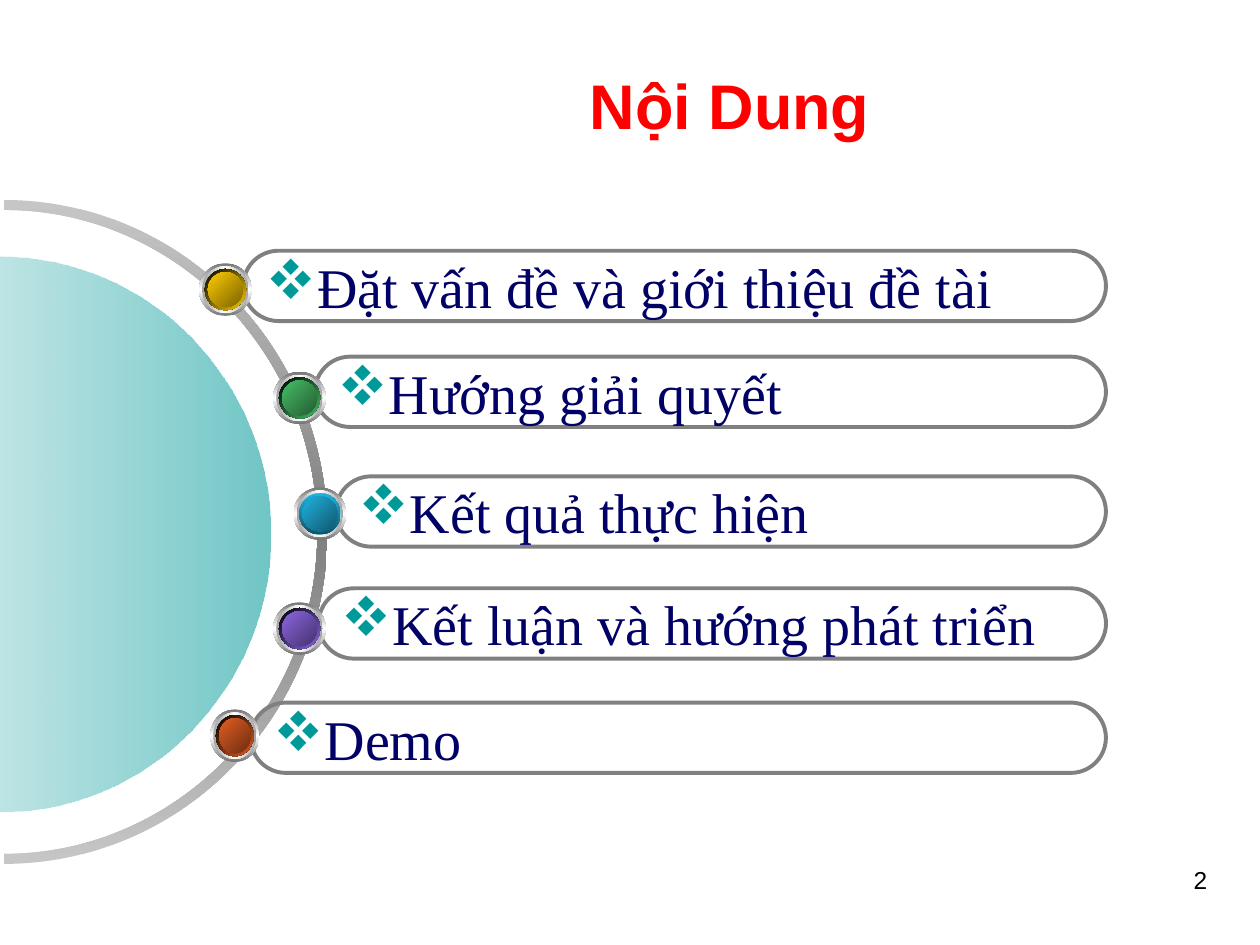
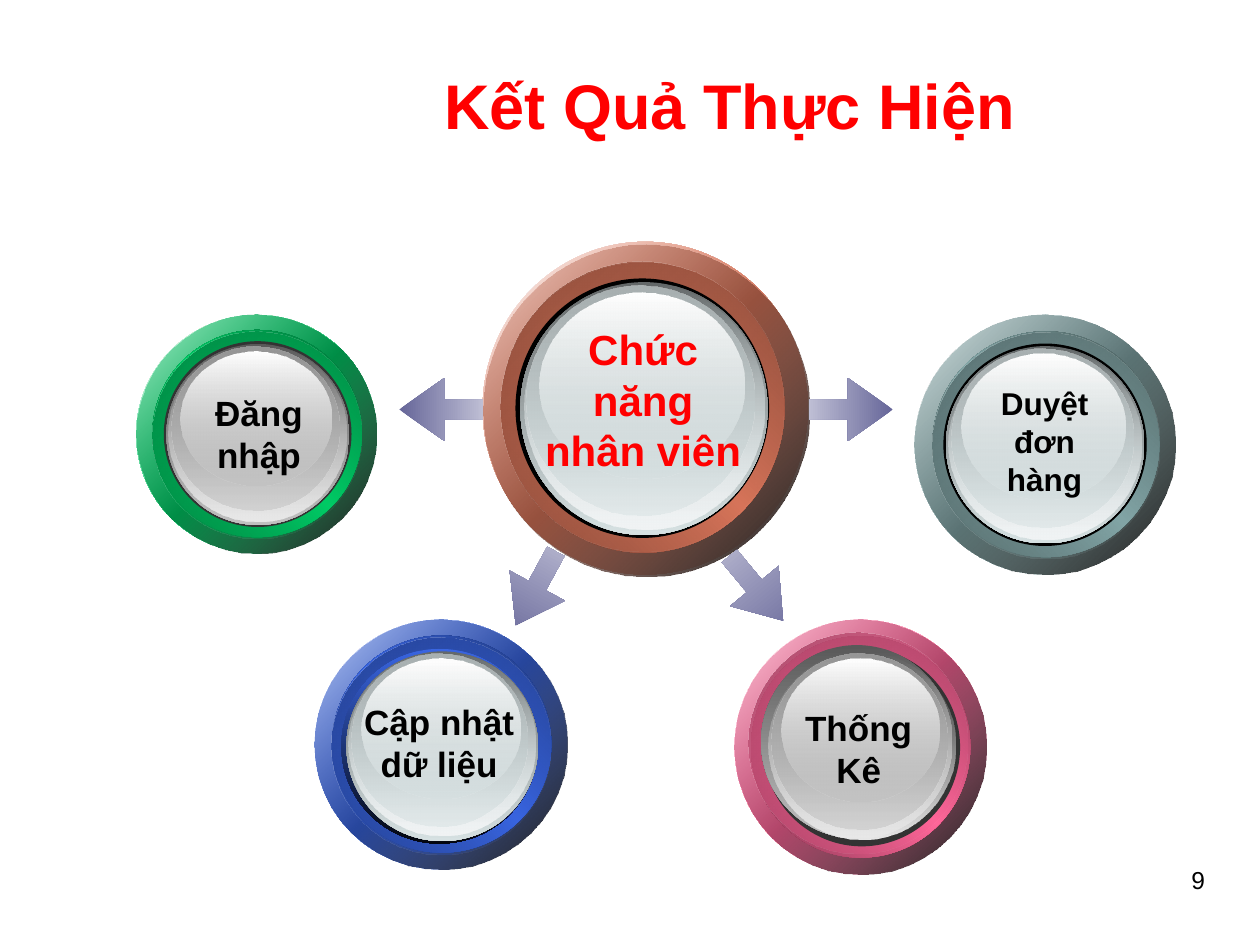
"""Build an agenda slide and a staff function slide."""
from lxml.etree import SubElement
from pptx import Presentation
from pptx.dml.color import RGBColor
from pptx.enum.shapes import MSO_SHAPE
from pptx.enum.text import MSO_ANCHOR, PP_ALIGN
from pptx.oxml.ns import qn
from pptx.util import Pt

RED, BLACK, WHITE, TEAL, NAVY, GRAY = (
    "FF0000", "000000", "FFFFFF", "009999", "000066", "808080")
SANS, SERIF = "Arial", "Times New Roman"
GLASS, STEEL = "D6E1E2", "C0C0C0"
ROUND = 0.5523

TOPICS = [
    ("Đặt vấn đề và giới thiệu đề tài", 139, 143.3, (113.8, 150.5, 30), "FFCC00"),
    ("Hướng giải quyết", 180, 203.8, (156.2, 212.4, 30), "48BE67"),
    ("Kết quả thực hiện", 192, 272.2, (167.8, 278.6, 30), "21B3E1"),
    ("Kết luận và hướng phát triển", 182, 336.2, (156.2, 344.2, 30), "8D67E1"),
    ("Demo", 143.3, 401.5, (120.2, 405.4, 28), "E35E23"),
]
PILL_END = 632

RING_FIT = [
    (0, 0, 1, 1), (0, 0, 1, 1),
    (0.068, 0.063, 0.87, 0.87), (0.068, 0.068, 0.87, 0.87),
    (0.11, 0.11, 0.78, 0.78), (0.12, 0.12, 0.76, 0.76),
    (0.13, 0.126, 0.74, 0.74), (0.14, 0.13, 0.7, 0.69),
    (0.18, 0.15, 0.63, 0.56),
]
HUB_SHIFT = {1: (0.7, 1.4), 2: (-1.8, 0.3), 3: (-2.5, -1.4), 4: (-1.7, 0),
             5: (-0.7, 0.2), 6: (-0.4, 0), 7: (-0.8, 0.5), 8: (-1, 0.3)}
PINK_SHIFT = {2: (-0.4, 0.2), 3: (-1.9, -2.7), 4: (0.7, 0), 5: (-2.2, -3),
              6: (0.7, -0.3), 7: (0.7, 0.5), 8: (0.7, 0.5)}
GREEN_SHIFT = {4: (0.7, 0), 5: (0.8, 0.2), 6: (0.8, 0), 7: (0.9, 0.3),
               8: (0.5, 0.5)}
BLUE_SHIFT = {3: (-0.4, 0.4), 4: (-0.7, 0.9), 5: (0.7, 0.9), 6: (0.7, 0),
              7: (0.7, 0.9), 8: (0.7, 0.9)}

HUB = ((275.8, 138.2, 185.8, 190.1), "D8755A", GLASS, [BLACK], HUB_SHIFT)
RINGS = [
    ((522.7, 180, 149, 148.3), "83A6A7", GLASS, [BLACK], {}),
    ((419.8, 354.2, 144, 145.4), "FF6699", STEEL, ["333333"], PINK_SHIFT),
    ((77.8, 180, 137.5, 136.1), "00CC66", STEEL, ["333333"], GREEN_SHIFT),
    ((180, 354.2, 144, 142.6), "3965E1", GLASS, ["3965E1", "03060D"], BLUE_SHIFT),
]
LABELS = [
    ("Thống Kê", (447.1, 400.3, 87.1, 56.2), 20),
    ("Đăng nhập", (95.8, 220.3, 104.4, 55.4), 20),
    ("Cập nhật dữ liệu", (197.3, 396.7, 107.3, 55.4), 20),
    ("Duyệt đơn hàng", (550.8, 216, 92.2, 72.7), 18),
]
ARROWS = [(462.2, 216, 180), (282.2, 318.2, 298.6),
          (228.2, 216, 0), (408.2, 318.2, 230.3)]


def hue(code):
    """Turn a hex string into a colour."""
    return RGBColor.from_string(code)


def blend(code, goal, part):
    """Move a colour part of the way to a goal colour."""
    return str(RGBColor(*(round(a + (b - a) * part)
                          for a, b in zip(hue(code), hue(goal)))))


def dim(code, keep):
    """Darken a colour, keeping the given share of its light."""
    return blend(code, BLACK, 1 - keep)


def paint(shape, angle, *stops):
    """Fill with evenly spaced stops, each a hex code or code/opacity."""
    shape.shadow.inherit = False
    shape.line.fill.background()
    if len(stops) == 1:
        shape.fill.solid()
        shape.fill.fore_color.rgb = hue(stops[0])
        return
    shape.fill.gradient()
    grad = shape.element.spPr.find(qn("a:gradFill"))
    grad.clear()
    grad.set("rotWithShape", "1")
    group = SubElement(grad, qn("a:gsLst"))
    for i, stop in enumerate(stops):
        code, _, solid = stop.partition("/")
        node = SubElement(group, qn("a:gs"), pos=str(100000 * i // (len(stops) - 1)))
        tone = SubElement(node, qn("a:srgbClr"), val=code)
        if solid:
            SubElement(tone, qn("a:alpha"), val=str(int(solid) * 1000))
    SubElement(grad, qn("a:lin"), ang=str(angle * 60000), scaled="0")


def write(para, text, size, code, font=SANS, bold=False):
    """Add one styled run to a paragraph."""
    run = para.add_run()
    run.text = text
    run.font.size, run.font.name, run.font.bold = Pt(size), font, bold
    run.font.color.rgb = hue(code)


def label(slide, text, box, size, code=BLACK, bold=True, align=PP_ALIGN.CENTER):
    """Add a wrapped text box."""
    frame = slide.shapes.add_textbox(*map(Pt, box)).text_frame
    frame.word_wrap = True
    frame.paragraphs[0].alignment = align
    write(frame.paragraphs[0], text, size, code, bold=bold)


def start(deck, title, number, left):
    """Add a slide with its title and page number."""
    slide = deck.slides.add_slide(deck.slide_layouts[5])
    head = slide.shapes.title
    head.left, head.top, head.width, head.height = map(Pt, (138, 22.3, 558, 74.2))
    head.text_frame.vertical_anchor = MSO_ANCHOR.MIDDLE
    para = head.text_frame.paragraphs[0]
    para.alignment = PP_ALIGN.CENTER
    write(para, title, 36, RED, bold=True)
    label(slide, number, (left, 490.5, 167.8, 43.2), 14, bold=False,
          align=PP_ALIGN.RIGHT)
    return slide


def disc(group, box, angle, *stops):
    """Draw one shaded ellipse."""
    shape = group.shapes.add_shape(MSO_SHAPE.OVAL, *map(Pt, box))
    paint(shape, angle, *stops)


def curve(x, y, wide, high):
    """List the knots and handles of a right half ellipse."""
    spots = [(0, -1), (ROUND, -1), (1, -ROUND), (1, 0),
             (1, ROUND), (ROUND, 1), (0, 1)]
    return [(Pt(x + a * wide), Pt(y + b * high)) for a, b in spots]


def outline(slide, arcs, angle, *stops):
    """Draw a closed freeform whose sides are smooth arcs."""
    points = sum(arcs, [])
    maker = slide.shapes.build_freeform(*points[0])
    maker.add_line_segments(points[1:], close=True)
    shape = maker.convert_to_shape()
    lines = list(shape.element.iter(qn("a:lnTo")))
    for first in range(0, len(lines), 7):
        for k in (first, first + 3):
            bend(lines[k:k + 3])
    paint(shape, angle, *stops)


def bend(lines):
    """Join three line steps into one Bezier step."""
    lines[0].tag = qn("a:cubicBezTo")
    for line in lines[1:]:
        lines[0].append(line[0])
        line.getparent().remove(line)


def pill(slide, text, left, top):
    """Draw a rounded frame with a bulleted topic."""
    box = map(Pt, (left, top, PILL_END - left, 40.2))
    shape = slide.shapes.add_shape(MSO_SHAPE.ROUNDED_RECTANGLE, *box)
    shape.adjustments[0] = 0.5
    shape.shadow.inherit = False
    shape.fill.background()
    shape.line.color.rgb, shape.line.width = hue(GRAY), Pt(2.25)
    frame = shape.text_frame
    frame.word_wrap, frame.vertical_anchor = False, MSO_ANCHOR.MIDDLE
    para = frame.paragraphs[0]
    para.alignment, para.space_before = PP_ALIGN.LEFT, Pt(6.4)
    props = para._p.get_or_add_pPr()
    SubElement(SubElement(props, qn("a:buClr")), qn("a:srgbClr"), val=TEAL)
    SubElement(props, qn("a:buFont"), typeface="Wingdings", charset="2")
    SubElement(props, qn("a:buChar"), char="v")
    write(para, text, 32, NAVY, SERIF)


def bead(slide, left, top, width, code):
    """Draw a small metal bead."""
    group = slide.shapes.add_group_shape()
    rim, teal = "767676", dim(TEAL, 0.765)
    layers = [(0, 90, rim, WHITE, rim), (1.7, 0, "A2A2A2", WHITE, "A2A2A2"),
              (3.2, 45, WHITE, TEAL, WHITE),
              (3.2, 45, BLACK, code), (5, 315, teal, TEAL, teal),
              (5, 45, code, dim(code, 0.486))]
    if code == "21B3E1":
        layers[3] = (3.2, 90, code, dim(code, 0.463))
    for inset, angle, *stops in layers:
        box = (left + inset, top + inset, width - 2 * inset, 30 - 2 * inset)
        disc(group, box, angle, *stops)


def ring(slide, box, code, face, core, shift):
    """Draw a thick coloured ring around a glossy face."""
    group = slide.shapes.add_group_shape()
    left, top, width, height = box
    dark = dim(code, 0.54)
    looks = [
        (45, WHITE, code, WHITE), (45, code + "/32", BLACK + "/90"),
        (315, dark, code, dark), (45, dim(code, 0.635), code + "/0"),
        (90, *core), (90, dim(face, 0.463), face),
        (90, face + "/0", blend(face, WHITE, 0.65)),
        (90, dim(face, 0.793), face + "/48"), (90, WHITE, face + "/38"),
    ]
    for i, ((x, y, w, h), look) in enumerate(zip(RING_FIT, looks)):
        dx, dy = shift.get(i, (0, 0))
        spot = (left + x * width + dx, top + y * height + dy, w * width, h * height)
        disc(group, spot, *look)


def arrow(group, left, top, turn):
    """Draw a block arrow leading away from the hub."""
    shape = group.shapes.add_shape(MSO_SHAPE.LEFT_ARROW, *map(Pt, (left, top, 48, 36)))
    shape.adjustments[0], shape.adjustments[1] = 0.312, 0.715
    shape.rotation = turn
    paint(shape, 0, "666699", "BEBED4")


def agenda(deck):
    """Build the list of topics along an arc."""
    slide = start(deck, "Nội Dung", "2", 529.2)
    band = [curve(2.2, 304, 184.8, 189.7), curve(2.2, 304, 179.2, 184)[::-1]]
    outline(slide, band, 90, "C6C6C6", GRAY, "C6C6C6")
    outline(slide, [curve(0, 305.3, 154.8, 158.4)], 0,
            blend(TEAL, WHITE, 0.5) + "/52", TEAL + "/56")
    for text, left, top, _, _ in reversed(TOPICS):
        pill(slide, text, left, top)
    for _, _, _, spot, code in TOPICS:
        bead(slide, *spot, code)


def results(deck):
    """Build the hub with four staff functions."""
    slide = start(deck, "Kết Quả Thực Hiện", "9", 527.8)
    ring(slide, *HUB)
    group = slide.shapes.add_group_shape()
    for spot in ARROWS:
        arrow(group, *spot)
    label(slide, "Chức năng nhân viên", (300.2, 181.4, 134.6, 94.3), 24, RED)
    for look in RINGS:
        ring(slide, *look)
    for item in LABELS:
        label(slide, *item)


def main():
    """Build and save the deck."""
    deck = Presentation()
    deck.slide_width, deck.slide_height = Pt(720), Pt(540)
    agenda(deck)
    results(deck)
    deck.save("out.pptx")


if __name__ == "__main__":
    main()
